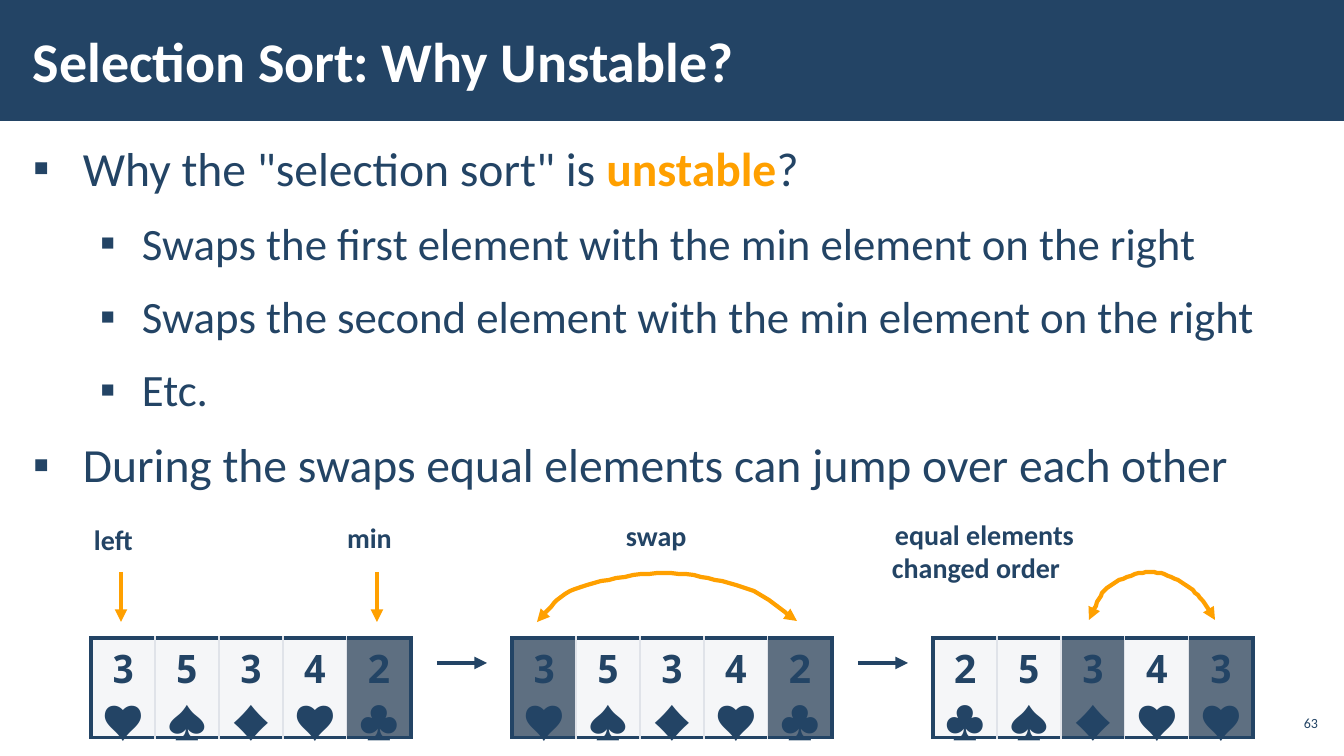
from lxml import etree
from pptx import Presentation
from pptx.dml.color import RGBColor
from pptx.enum.shapes import MSO_CONNECTOR, MSO_SHAPE
from pptx.enum.text import MSO_ANCHOR, PP_ALIGN
from pptx.oxml.ns import qn
from pptx.util import Emu, Pt

STRAIGHT, RECTANGLE = MSO_CONNECTOR.STRAIGHT, MSO_SHAPE.RECTANGLE
TOP, MIDDLE = MSO_ANCHOR.TOP, MSO_ANCHOR.MIDDLE
LEFT, CENTER, RIGHT = PP_ALIGN.LEFT, PP_ALIGN.CENTER, PP_ALIGN.RIGHT
NAVY, ORANGE, WHITE, PALE, DARK = "234465", "FFA000", "FFFFFF", "E0E3E9", "1A334C"
EMU_PER_PX = 914400 / 100.8

# Content: bullets are (level, [(text, highlighted)])
TITLE = "Selection Sort: Why Unstable?"
BULLETS = [
    (0, [('Why the "selection sort" is ', False), ("unstable", True), ("?", False)]),
    (1, [("Swaps the first element with the min element on the right", False)]),
    (1, [("Swaps the second element with the min element on the right", False)]),
    (1, [("Etc.", False)]),
    (0, [("During the swaps equal elements can jump over each other", False)]),
]
LEVELS = [(34, 50, 50), (32, 109, 42)]  # size, left margin, hanging indent
# Card rows: cards and the positions that are highlighted
CARD_ROWS = [
    (["3♥", "5♠", "3♦", "4♥", "2♣"], {4}),
    (["3♥", "5♠", "3♦", "4♥", "2♣"], {0, 4}),
    (["2♣", "5♠", "3♦", "4♥", "3♥"], {2, 4}),
]
LABELS = [  # left, top, width, height, [(line, alignment)]
    (84, 517, 60, 44, [("left", LEFT)]),
    (337, 515, 66, 44, [("min", LEFT)]),
    (616, 513, 82, 44, [("swap", LEFT)]),
    (882, 512, 205, 78, [("equal elements", CENTER), ("changed order", LEFT)]),
]
POINTERS = [121, 377]
SWAP_ARCS = [  # start point, then cubic curves as two controls and an end
    [(537, 622), (544, 617), (554, 597), (575, 589), (596, 581), (635, 573), (664, 573),
     (693, 573), (725, 581), (748, 589), (771, 598), (787, 615), (797, 621)],
    [(1089, 620), (1093, 616), (1097, 596), (1107, 588), (1117, 580), (1136, 572), (1150, 572),
     (1164, 572), (1179, 580), (1190, 588), (1201, 596), (1210, 613), (1215, 620)],
]
CARD_WIDTH, ROW_LEFT, ROW_TOP, ROW_STEP = 64, 91, 638, 421
CURVE_STEPS = 12


def px(value):
    return Emu(round(value * EMU_PER_PX))


def rgb(color):
    return RGBColor.from_string(color)


def add_xml(parent, tag, **attributes):
    return etree.SubElement(parent, qn(tag), attributes)


def set_font(font, size, color, bold=False, name="Calibri"):
    font.size, font.bold, font.name = Pt(size), bold, name
    font.color.rgb = rgb(color)


def set_frame(frame, anchor, margin_x, margin_y, wrap=True):
    frame.word_wrap, frame.vertical_anchor = wrap, anchor
    frame.margin_left = frame.margin_right = px(margin_x)
    frame.margin_top = frame.margin_bottom = px(margin_y)


def add_text_box(left, top, width, height, anchor, margin_x, margin_y, wrap=True):
    shape = slide.shapes.add_textbox(px(left), px(top), px(width), px(height))
    set_frame(shape.text_frame, anchor, margin_x, margin_y, wrap)
    return shape.text_frame


def style_arrow(shape, color, *ends):
    shape.line.color.rgb, shape.line.width = rgb(color), Pt(3)
    for end in ends:
        add_xml(shape.line._get_or_add_ln(), end, type="triangle")


def add_arrow(start_x, start_y, end_x, end_y, color):
    arrow = slide.shapes.add_connector(
        STRAIGHT, px(start_x), px(start_y), px(end_x), px(end_y))
    style_arrow(arrow, color, "a:tailEnd")
    add_xml(arrow._element.spPr, "a:effectLst")


def curve_points(points):
    for first in range(0, len(points) - 1, 3):
        a, b, c, d = points[first:first + 4]
        for step in range(1, CURVE_STEPS + 1):
            t = step / CURVE_STEPS
            u = 1 - t
            yield tuple(u**3 * a[i] + 3 * u * u * t * b[i] + 3 * u * t * t * c[i] + t**3 * d[i]
                        for i in (0, 1))


def format_card(cell, card, highlighted, first, last):
    cell.text = card
    cell.vertical_anchor = TOP
    paragraph = cell.text_frame.paragraphs[0]
    paragraph.alignment, paragraph.line_spacing = CENTER, 0.95
    spacing = add_xml(paragraph._p.get_or_add_pPr(), "a:spcBef")
    add_xml(spacing, "a:spcPct", val="40000")
    set_font(paragraph.font, 28, NAVY, True, "Noto Sans Mono")
    # Borders come before the fill in the cell properties
    properties = cell._tc.get_or_add_tcPr()
    for side, outer in (("L", first), ("R", last), ("T", True), ("B", True)):
        border = add_xml(properties, f"a:ln{side}", w=str(Pt(3 if outer else 1)))
        border_fill = add_xml(border, "a:solidFill")
        add_xml(border_fill, "a:srgbClr", val=NAVY if outer else PALE)
    cell.fill.solid()
    cell.fill.fore_color.rgb = rgb(DARK if highlighted else PALE)
    color = properties.find(qn("a:solidFill")).find(qn("a:srgbClr"))
    add_xml(color, "a:alpha", val="70000" if highlighted else "30000")


presentation = Presentation()
presentation.slide_width, presentation.slide_height = px(1344), px(756)
slide = presentation.slides.add_slide(presentation.slide_layouts[5])

# Title band, placed behind the title
band = slide.shapes.add_shape(RECTANGLE, 0, 0, px(1344), px(121))
band.shadow.inherit = False
band.fill.solid()
band.fill.fore_color.rgb = rgb(NAVY)
band.line.fill.background()
title = slide.shapes.title
title._element.addprevious(band._element)
title.left, title.top, title.width, title.height = px(21), px(11), px(1047), px(98)
title.text = TITLE
set_frame(title.text_frame, MIDDLE, 12, 4)
title.text_frame.paragraphs[0].alignment = LEFT
set_font(title.text_frame.paragraphs[0].font, 40, WHITE, True)

# Bullets
body = add_text_box(21, 132, 1302, 574, TOP, 12, 4)
for index, (level, runs) in enumerate(BULLETS):
    paragraph = body.add_paragraph() if index else body.paragraphs[0]
    size, margin, indent = LEVELS[level]
    paragraph.level, paragraph.line_spacing = level, 1.05
    paragraph.space_before = paragraph.space_after = Pt(6)
    properties = paragraph._p.get_or_add_pPr()
    properties.set("marL", str(px(margin)))
    properties.set("indent", str(-px(indent)))
    add_xml(properties, "a:buFont", typeface="Arial")
    add_xml(properties, "a:buChar", char="▪")
    set_font(paragraph.font, size, NAVY)
    for text, highlighted in runs:
        run = paragraph.add_run()
        run.text = text
        if highlighted:
            set_font(run.font, size, ORANGE, True)

# Card rows with an arrow between neighbours
for row, (cards, highlights) in enumerate(CARD_ROWS):
    left = ROW_LEFT + row * ROW_STEP
    width = CARD_WIDTH * len(cards)
    table = slide.shapes.add_table(
        1, len(cards), px(left), px(ROW_TOP), px(width), px(41)).table
    table.first_row = table.horz_banding = False
    for column, card in enumerate(cards):
        table.columns[column].width = px(CARD_WIDTH)
        format_card(table.cell(0, column), card, column in highlights,
                    column == 0, column == len(cards) - 1)
    if row:
        add_arrow(left - 75, 663, left - 25, 663, NAVY)

# Labels, pointers and swap arcs
for left, top, width, height, lines in LABELS:
    frame = add_text_box(left, top, width, height, TOP, 10, 5, wrap=False)
    for index, (text, alignment) in enumerate(lines):
        paragraph = frame.add_paragraph() if index else frame.paragraphs[0]
        paragraph.text, paragraph.alignment = text, alignment
        set_font(paragraph.font, 20, NAVY, True)
for x in POINTERS:
    add_arrow(x, 572, x, 622, ORANGE)
for points in SWAP_ARCS:
    builder = slide.shapes.build_freeform(*points[0], scale=EMU_PER_PX)
    builder.add_line_segments(list(curve_points(points)), close=False)
    arc = builder.convert_to_shape()
    arc.shadow.inherit = False
    arc.fill.background()
    style_arrow(arc, ORANGE, "a:headEnd", "a:tailEnd")

# Slide number
number = add_text_box(1275, 706, 47, 34, MIDDLE, 4, 4).paragraphs[0]
number.text, number.alignment = "63", RIGHT
set_font(number.font, 10, NAVY)

presentation.save("out.pptx")
